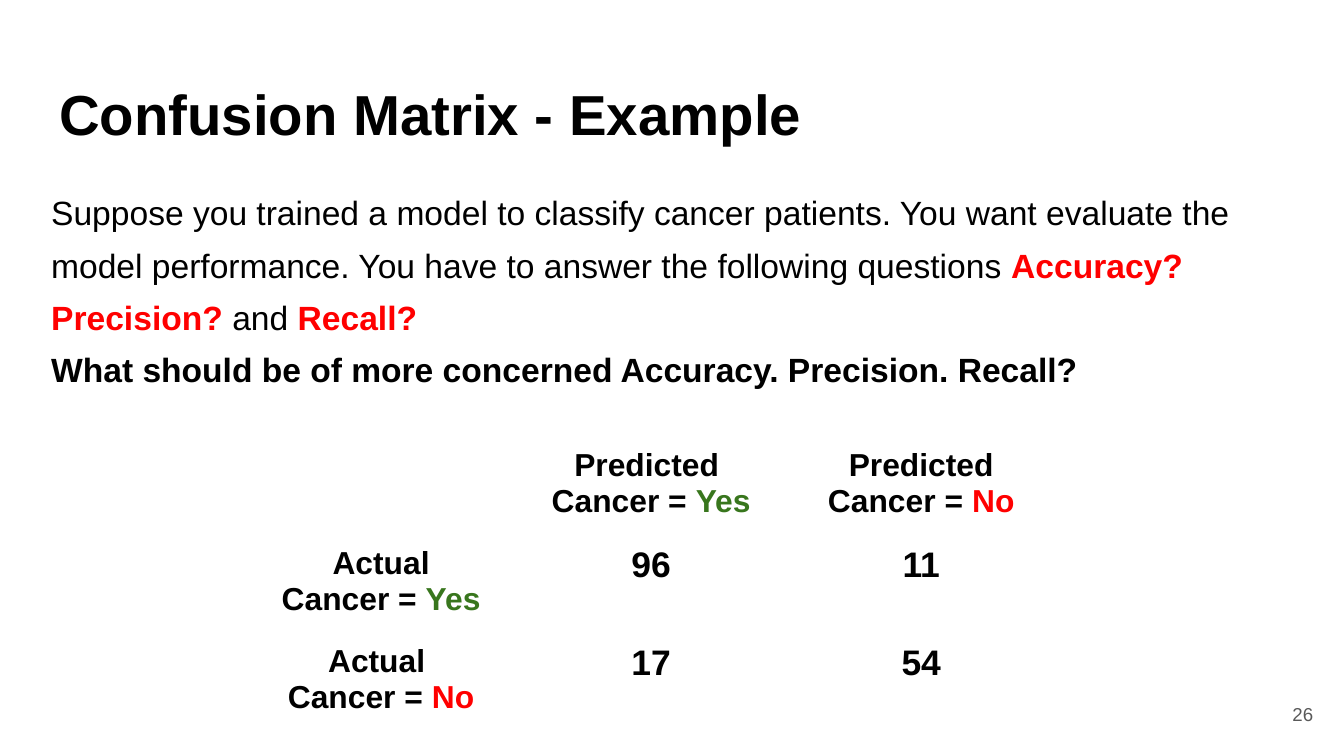
from pptx import Presentation
from pptx.dml.color import RGBColor
from pptx.enum.text import MSO_ANCHOR as Anchor, MSO_AUTO_SIZE as Fit, PP_ALIGN as Align
from pptx.oxml.xmlchemy import OxmlElement as Node
from pptx.util import Pt

BLACK = RGBColor(0x00, 0x00, 0x00)
RED = RGBColor(0xFF, 0x00, 0x00)
GREEN = RGBColor(0x38, 0x76, 0x1D)
GRAY = RGBColor(0x59, 0x59, 0x59)
FONT = "Arial"
PAD = Pt(7.2)

TITLE = "Confusion Matrix - Example"
BODY = [
    [("Suppose you trained a model to classify cancer patients. You want evaluate the "
      "model performance. You have to answer the following questions ", BLACK, False),
     ("Accuracy? Precision?", RED, True),
     (" and ", BLACK, False),
     ("Recall?", RED, True)],
    [("What should be of more concerned Accuracy. Precision. Recall?", BLACK, True)],
]
NUMBER = "26"

YES = ("Yes", GREEN, True)
NO = ("No", RED, True)


def label(word, answer):
    return 17, [[(word, BLACK, True)], [("Cancer = ", BLACK, True), answer]]


def count(value):
    return 19, [[(str(value), BLACK, True)]]


GRID = [
    [None, label("Predicted ", YES), label("Predicted", NO)],
    [label("Actual", YES), count(96), count(11)],
    [label("Actual ", NO), count(17), count(54)],
]
COL, ROW = 144.7, 52.5


def write(frame, paras, size, align=Align.LEFT, space=None):
    for i, runs in enumerate(paras):
        para = frame.paragraphs[0] if i == 0 else frame.add_paragraph()
        para.alignment = align
        para.space_before = para.space_after = Pt(0)
        if space:
            para.line_spacing = space
        for text, color, bold in runs:
            run = para.add_run()
            run.text = text
            run.font.name = FONT
            run.font.size = Pt(size)
            run.font.bold = bold
            run.font.color.rgb = color


def place(shape, left, top, width, height, anchor=Anchor.TOP):
    shape.left, shape.top = Pt(left), Pt(top)
    shape.width, shape.height = Pt(width), Pt(height)
    frame = shape.text_frame
    frame.word_wrap = True
    frame.auto_size = Fit.NONE
    frame.vertical_anchor = anchor
    frame.margin_left = frame.margin_right = PAD
    frame.margin_top = frame.margin_bottom = PAD
    return frame


deck = Presentation()
deck.slide_width, deck.slide_height = Pt(720), Pt(405)
slide = deck.slides.add_slide(deck.slide_layouts[1])

title = place(slide.shapes.title, 24.5, 35.3, 671, 45.4)
write(title, [[(TITLE, BLACK, True)]], 30.2)

body = place(slide.placeholders[1], 20.2, 89.3, 681, 309)
write(body, BODY, 18, space=1.3)
for para in body.paragraphs:
    props = para._p.get_or_add_pPr()
    props.set("marL", "0")
    props.set("indent", "0")
    props.append(Node("a:buNone"))

box = slide.shapes.add_textbox(0, 0, 0, 0)
write(place(box, 667.4, 367.2, 43.2, 31, Anchor.MIDDLE),
      [[(NUMBER, GRAY, False)]], 10, Align.RIGHT)

rows, cols = len(GRID), len(GRID[0])
table = slide.shapes.add_table(rows, cols, Pt(131.8), Pt(232.6),
                               Pt(COL * cols), Pt(ROW * rows)).table
table.first_row = table.horz_banding = False
for r, line in enumerate(GRID):
    for c, item in enumerate(line):
        cell = table.cell(r, c)
        cell.fill.background()
        cell.margin_left = cell.margin_right = PAD
        cell.margin_top = cell.margin_bottom = PAD
        if item:
            size, paras = item
            write(cell.text_frame, paras, size, Align.CENTER)

deck.save("out.pptx")
